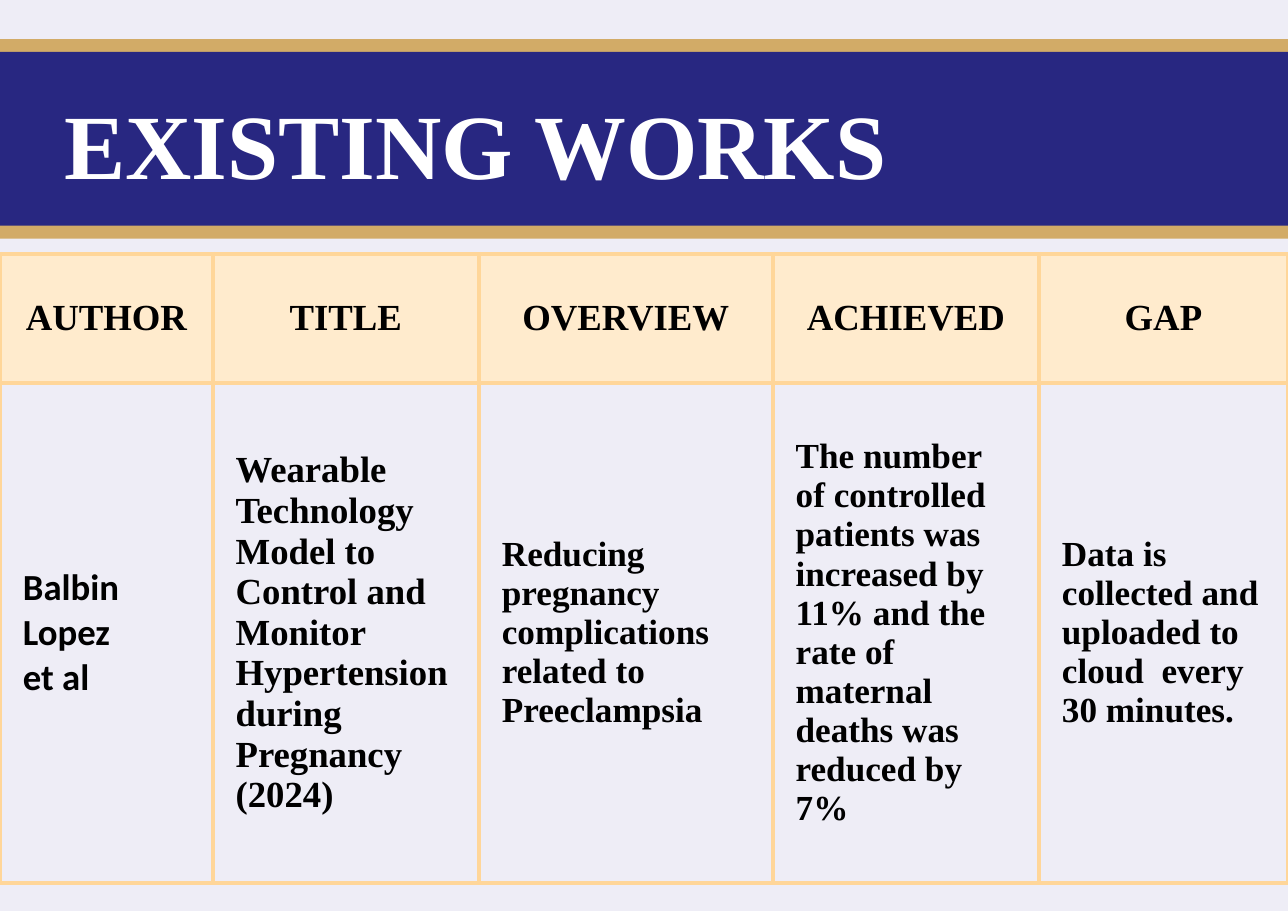
from lxml.etree import SubElement
from pptx import Presentation
from pptx.dml.color import RGBColor
from pptx.enum.shapes import MSO_SHAPE as Preset
from pptx.enum.text import MSO_ANCHOR as Anchor, PP_ALIGN as Align
from pptx.oxml.ns import qn
from pptx.util import Pt

LAVENDER = RGBColor(0xEE, 0xED, 0xF6)
NAVY = RGBColor(0x28, 0x27, 0x81)
GOLD = RGBColor(0xD2, 0xAB, 0x67)
CREAM = RGBColor(0xFF, 0xEB, 0xCD)
PEACH = RGBColor(0xFF, 0xD6, 0x99)
BLACK = RGBColor(0, 0, 0)
WHITE = RGBColor(0xFF, 0xFF, 0xFF)

SERIF, SANS = "Times New Roman", "Calibri"
WIDTH, HEIGHT = 841.68, 595.44

HEADINGS = ["AUTHOR", "TITLE", "OVERVIEW", "ACHIEVED", "GAP"]
COLUMN_WIDTHS = [139, 174, 192, 174, 162.68]
ROW_HEIGHTS = [84.24, 326.88]
STUDY = [
    (["Balbin Lopez", "et al"], 24, SANS),
    (["Wearable Technology Model to Control and Monitor Hypertension "
      "during Pregnancy", "(2024)"], 24, SERIF),
    (["Reducing pregnancy complications related to", "Preeclampsia"], 23, SERIF),
    (["The number of controlled patients was increased by 11% and the rate "
      "of maternal deaths was reduced by 7%"], 23, SERIF),
    (["Data is collected and uploaded to cloud  every 30 minutes."], 23, SERIF),
]


class SlideBuilder:
    """Draws styled elements on one slide, with lengths in points."""

    def __init__(self, slide):
        self.slide = slide
        self.cell_inset = Pt(15)
        self.border_width = Pt(3)

    def background(self, color):
        fill = self.slide.background.fill
        fill.solid()
        fill.fore_color.rgb = color

    def band(self, top, height, color):
        band = self.slide.shapes.add_shape(
            Preset.RECTANGLE, 0, Pt(top), Pt(WIDTH), Pt(height))
        band.shadow.inherit = False
        band.fill.solid()
        band.fill.fore_color.rgb = color
        band.line.fill.background()

    def set_text(self, frame, lines, size, face, color, align=Align.LEFT):
        frame.text = "\n".join(lines)
        for paragraph in frame.paragraphs:
            paragraph.alignment = align
            font = paragraph.font
            font.name, font.size, font.bold = face, Pt(size), True
            font.color.rgb = color

    def title(self, text, left, top, width, height):
        box = self.slide.shapes.add_textbox(
            Pt(left), Pt(top), Pt(width), Pt(height))
        frame = box.text_frame
        frame.word_wrap = True
        frame.margin_left = frame.margin_right = 0
        frame.margin_top = frame.margin_bottom = 0
        self.set_text(frame, [text], 60, SERIF, WHITE)

    def border(self, cell):
        properties = cell._tc.get_or_add_tcPr()
        for index, side in enumerate(("lnL", "lnR", "lnT", "lnB")):
            edge = SubElement(properties, qn(f"a:{side}"), w=str(self.border_width))
            paint = SubElement(edge, qn("a:solidFill"))
            SubElement(paint, qn("a:srgbClr"), val=str(PEACH))
            properties.remove(edge)
            properties.insert(index, edge)

    def cell(self, cell, lines, size, face, fill=None, align=Align.LEFT):
        cell.vertical_anchor = Anchor.MIDDLE
        cell.margin_left = cell.margin_right = self.cell_inset
        cell.margin_top = cell.margin_bottom = self.cell_inset
        if fill is None:
            cell.fill.background()
        else:
            cell.fill.solid()
            cell.fill.fore_color.rgb = fill
        self.border(cell)
        self.set_text(cell.text_frame, lines, size, face, BLACK, align)

    def works_table(self, top):
        works = self.slide.shapes.add_table(
            len(ROW_HEIGHTS), len(HEADINGS), 0, Pt(top),
            Pt(WIDTH), Pt(sum(ROW_HEIGHTS))).table
        works.first_row = works.horz_banding = False
        for row, height in zip(works.rows, ROW_HEIGHTS):
            row.height = Pt(height)
        for column, width in zip(works.columns, COLUMN_WIDTHS):
            column.width = Pt(width)
        for index, (heading, study) in enumerate(zip(HEADINGS, STUDY)):
            self.cell(works.cell(0, index), [heading], 24, SERIF, CREAM, Align.CENTER)
            self.cell(works.cell(1, index), *study)


def main():
    deck = Presentation()
    deck.slide_width, deck.slide_height = Pt(WIDTH), Pt(HEIGHT)
    builder = SlideBuilder(deck.slides.add_slide(deck.slide_layouts[6]))
    builder.background(LAVENDER)
    builder.band(25.6, 130.4, GOLD)
    builder.band(34, 113.6, NAVY)
    builder.title("EXISTING WORKS", 42, 57.6, 558.72, 145.44)
    builder.works_table(166)
    deck.save("out.pptx")


if __name__ == "__main__":
    main()
